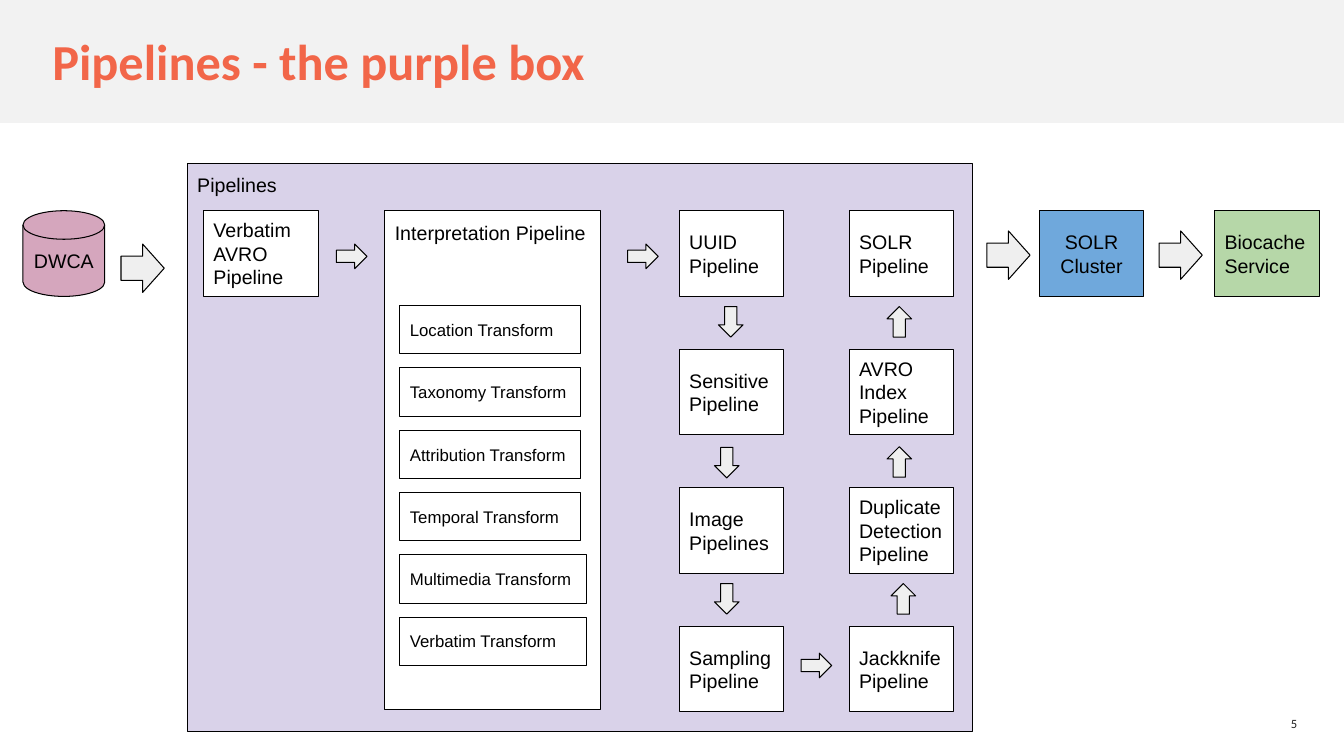
from dataclasses import dataclass

from pptx import Presentation
from pptx.dml.color import RGBColor
from pptx.enum.shapes import MSO_SHAPE
from pptx.enum.text import MSO_ANCHOR, PP_ALIGN
from pptx.shapes.autoshape import Shape
from pptx.slide import Slide
from pptx.util import Cm, Pt


@dataclass(frozen=True)
class Theme:
    banner: str = "F2F2F2"
    heading: str = "F26649"
    page: str = "212121"
    ink: str = "000000"
    white: str = "FFFFFF"
    purple: str = "D9D2E9"
    pink: str = "D5A6BD"
    blue: str = "6FA8DC"
    green: str = "B6D7A8"
    arrow: str = "EFEFEF"
    heading_font: str = "Calibri"
    body_font: str = "Arial"
    heading_size: float = 36
    body_size: float = 14
    transform_size: float = 12
    page_size: float = 9
    outline: float = 0.75


THEME = Theme()


@dataclass(frozen=True)
class Node:
    """A labelled box; lengths in centimetres, one paragraph per label line."""
    label: str
    left: float
    top: float
    width: float = 2.62
    height: float = 2.16
    fill: str = THEME.white
    size: float = THEME.body_size
    align: PP_ALIGN = PP_ALIGN.LEFT
    anchor: MSO_ANCHOR = MSO_ANCHOR.MIDDLE
    kind: MSO_SHAPE = MSO_SHAPE.RECTANGLE


@dataclass(frozen=True)
class Arrow:
    left: float
    top: float
    rotation: float = 0
    width: float = 0.77
    height: float = 0.62


def write(shape: Shape, text: str, font: str, size: float, color: str,
          align: PP_ALIGN, anchor: MSO_ANCHOR, inset: float, bold: bool = False) -> None:
    frame = shape.text_frame
    frame.word_wrap = True
    frame.vertical_anchor = anchor
    frame.margin_left = frame.margin_right = Cm(inset)
    frame.margin_top = frame.margin_bottom = Cm(inset)
    for index, line in enumerate(text.split("\n")):
        paragraph = frame.add_paragraph() if index else frame.paragraphs[0]
        paragraph.alignment = align
        run = paragraph.add_run()
        run.text = line
        run.font.name = font
        run.font.size = Pt(size)
        run.font.bold = bold
        run.font.color.rgb = RGBColor.from_string(color)


def add_filled(slide: Slide, kind: MSO_SHAPE, left: float, top: float,
               width: float, height: float, fill: str, outlined: bool = True) -> Shape:
    shape = slide.shapes.add_shape(kind, Cm(left), Cm(top), Cm(width), Cm(height))
    shape.shadow.inherit = False
    shape.fill.solid()
    shape.fill.fore_color.rgb = RGBColor.from_string(fill)
    if outlined:
        shape.line.color.rgb = RGBColor.from_string(THEME.ink)
        shape.line.width = Pt(THEME.outline)
    else:
        shape.line.fill.background()
    return shape


def add_node(slide: Slide, node: Node) -> None:
    shape = add_filled(slide, node.kind, node.left, node.top,
                       node.width, node.height, node.fill)
    write(shape, node.label, THEME.body_font, node.size, THEME.ink,
          node.align, node.anchor, inset=0.25)


def add_arrow(slide: Slide, arrow: Arrow) -> None:
    shape = add_filled(slide, MSO_SHAPE.RIGHT_ARROW, arrow.left, arrow.top,
                       arrow.width, arrow.height, THEME.arrow)
    shape.rotation = arrow.rotation


def add_heading(slide: Slide) -> None:
    add_filled(slide, MSO_SHAPE.RECTANGLE, -0.05, 0, 33.96, 3.1, THEME.banner, outlined=False)
    title = slide.shapes.add_textbox(Cm(1.32), Cm(0.48), Cm(24.71), Cm(2.08))
    write(title, "Pipelines - the purple box", THEME.heading_font, THEME.heading_size,
          THEME.heading, PP_ALIGN.LEFT, MSO_ANCHOR.MIDDLE, inset=0, bold=True)
    page_number = slide.shapes.add_textbox(Cm(31.6), Cm(17.93), Cm(1.09), Cm(0.61))
    write(page_number, "5", THEME.heading_font, THEME.page_size, THEME.page,
          PP_ALIGN.RIGHT, MSO_ANCHOR.MIDDLE, inset=0)


ROW_TOP, ROW_PITCH = 5.31, 3.49
TRANSFORM_TOP, TRANSFORM_PITCH = 7.7, 1.57
UUID_LEFT, SOLR_LEFT = 17.12, 21.4

CONTAINERS = [
    Node("Pipelines", 4.72, 4.11, 19.79, 14.33, THEME.purple, anchor=MSO_ANCHOR.TOP),
    Node("Interpretation Pipeline", 9.7, ROW_TOP, 5.44, 12.57, anchor=MSO_ANCHOR.TOP),
]
ENDPOINTS = [
    Node("DWCA", 0.58, ROW_TOP, 2.06, fill=THEME.pink, align=PP_ALIGN.CENTER,
         kind=MSO_SHAPE.FLOWCHART_MAGNETIC_DISK),
    Node("Verbatim AVRO\nPipeline", 5.13, ROW_TOP, 2.9),
    Node("SOLR\nCluster", 26.19, ROW_TOP, 2.64, fill=THEME.blue, align=PP_ALIGN.CENTER),
    Node("Biocache\nService", 30.61, ROW_TOP, 2.64, fill=THEME.green),
]
TRANSFORM_WIDTHS = {
    "Location": 4.55, "Taxonomy": 4.55, "Attribution": 4.55,
    "Temporal": 4.55, "Multimedia": 4.7, "Verbatim": 4.7,
}
TRANSFORMS = [
    Node(f"{name} Transform", 10.08, TRANSFORM_TOP + row * TRANSFORM_PITCH,
         width, 1.22, size=THEME.transform_size)
    for row, (name, width) in enumerate(TRANSFORM_WIDTHS.items())
]
COLUMNS = {
    UUID_LEFT: ["UUID\nPipeline", "Sensitive\nPipeline", "Image\nPipelines",
                "Sampling\nPipeline"],
    SOLR_LEFT: ["SOLR\nPipeline", "AVRO\nIndex\nPipeline",
                "Duplicate\nDetection\nPipeline", "Jackknife\nPipeline"],
}
STAGES = [
    Node(label, left, ROW_TOP + row * ROW_PITCH)
    for left, labels in COLUMNS.items()
    for row, label in enumerate(labels)
]
OUTER_ARROWS = [
    Arrow(left, top, width=1.09, height=1.22)
    for left, top in [(3.05, 6.15), (24.87, 5.82), (29.21, 5.82)]
]
ACROSS_ARROWS = [Arrow(8.48, 6.15), Arrow(15.82, 6.15), Arrow(20.19, 16.46)]
DOWN_ARROWS = [Arrow(18.03, 7.8, 90), Arrow(17.93, 11.35, 90), Arrow(17.93, 14.78, 90)]
UP_ARROWS = [Arrow(22.28, 7.8, 270), Arrow(22.28, 11.33, 270), Arrow(22.38, 14.78, 270)]


def main() -> None:
    deck = Presentation()
    deck.slide_width, deck.slide_height = Cm(33.87), Cm(19.05)
    slide = deck.slides.add_slide(deck.slide_layouts[6])
    add_heading(slide)
    for node in CONTAINERS + ENDPOINTS + TRANSFORMS + STAGES:
        add_node(slide, node)
    for arrow in OUTER_ARROWS + ACROSS_ARROWS + DOWN_ARROWS + UP_ARROWS:
        add_arrow(slide, arrow)
    deck.save("out.pptx")


if __name__ == "__main__":
    main()
